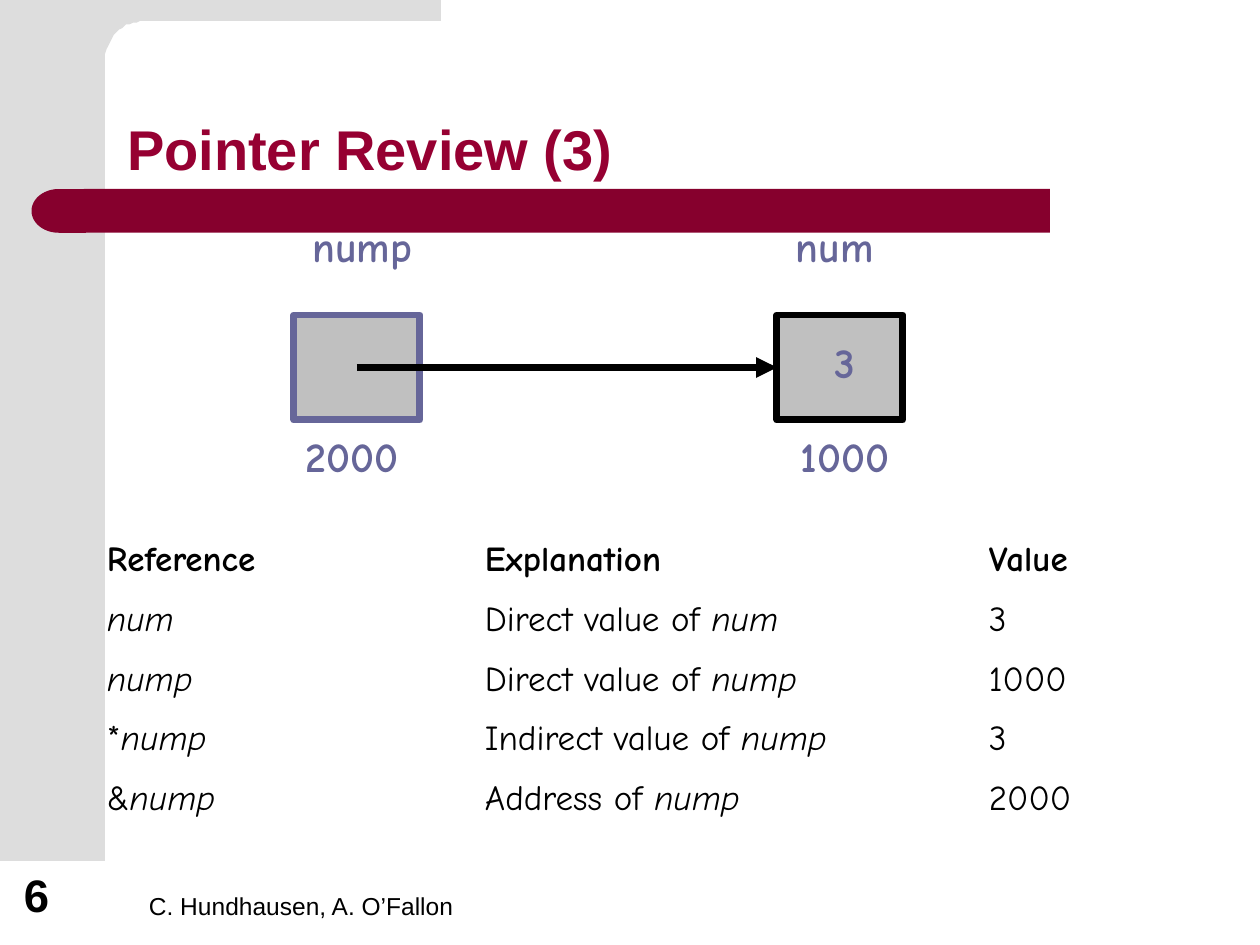
import math

import pptx
import pptx.dml.color
import pptx.enum.shapes
import pptx.enum.text
import pptx.oxml.ns
import pptx.util
from lxml import etree

Pt = pptx.util.Pt
KIND = pptx.enum.shapes.MSO_SHAPE
ALIGN = pptx.enum.text.PP_ALIGN
ANCHOR = pptx.enum.text.MSO_ANCHOR
qn = pptx.oxml.ns.qn

HEX = {"gray": "DDDDDD", "wine": "86002D", "title": "960032", "cell": "C0C0C0",
       "slate": "666699", "black": "000000"}
LABEL = {"name": "Comic Neue", "size": Pt(24), "bold": True}
BODY = {"name": "Comic Neue", "size": Pt(20)}
STOPS = (216, 504)

# Each cell is a list of (text, italic) parts.
ROWS = [
    [[("num", True)], [("Direct value of ", False), ("num", True)], [("3", False)]],
    [[("nump", True)], [("Direct value of ", False), ("nump", True)], [("1000", False)]],
    [[("*", False), ("nump", True)], [("Indirect value of ", False), ("nump", True)],
     [("3", False)]],
    [[("&", False), ("nump", True)], [("Address of ", False), ("nump", True)],
     [("2000", False)]],
]


def rgb(name):
    return pptx.dml.color.RGBColor.from_string(HEX[name])


def paint(shape, fill, line=None):
    shape.shadow.inherit = False
    shape.fill.solid()
    shape.fill.fore_color.rgb = rgb(fill)
    if line:
        shape.line.color.rgb = rgb(line)
        shape.line.width = Pt(4)
    else:
        shape.line.fill.background()


def block(slide, kind, box, fill, line=None):
    shape = slide.shapes.add_shape(kind, *map(Pt, box))
    paint(shape, fill, line)
    return shape


def corner(slide):
    """Draw the top band, whose inner corner is a quarter ellipse."""
    turns = [math.radians(6 * i) for i in range(16)]
    arc = [(80 - 20 * math.sin(t), 35.5 - 23 * math.cos(t)) for t in turns]
    pen = slide.shapes.build_freeform(36, 0, scale=Pt(1))
    pen.add_line_segments([(252, 0), (252, 12.5), *arc, (60, 44), (36, 44)])
    paint(pen.convert_to_shape(), "gray")


def frame(slide, box, anchor=ANCHOR.TOP):
    area = slide.shapes.add_textbox(*map(Pt, box)).text_frame
    area.word_wrap = True
    area.vertical_anchor = anchor
    return area


def write(para, text, color, style):
    run = para.add_run()
    run.text = text
    run.font.color.rgb = rgb(color)
    for key, value in style.items():
        setattr(run.font, key, value)


def label(slide, text, box, color="slate", style=LABEL, align=ALIGN.CENTER,
          anchor=ANCHOR.TOP, space=0.9):
    para = frame(slide, box, anchor).paragraphs[0]
    para.alignment = align
    para.line_spacing = space
    write(para, text, color, style)


def arrow(slide, start, target):
    """Point from a place to the left side of the target."""
    line = slide.shapes.add_connector(pptx.enum.shapes.MSO_CONNECTOR.STRAIGHT,
                                      *map(Pt, start), *map(Pt, start))
    line.end_connect(target, 1)
    line.line.color.rgb = rgb("black")
    line.line.width = Pt(4)
    etree.SubElement(line.line._get_or_add_ln(), qn("a:tailEnd"), type="triangle")
    etree.SubElement(line._element.spPr, qn("a:effectLst"))


def listing(slide):
    """Write the columns of references on shared tab stops."""
    area = frame(slide, (54, 306, 630, 166))
    head = [[(text, False)] for text in ("Reference", "Explanation", "Value")]
    for i, row in enumerate([head, *ROWS]):
        para = area.add_paragraph() if i else area.paragraphs[0]
        para.line_spacing = 0.9
        para.space_before = Pt(12.5 if i else 0)
        tabs = etree.SubElement(para._p.get_or_add_pPr(), qn("a:tabLst"))
        for stop in STOPS:
            etree.SubElement(tabs, qn("a:tab"), pos=str(Pt(stop)), algn="l")
        for j, cell in enumerate(row):
            for k, (text, slant) in enumerate(cell):
                lead = "\t" if j and not k else ""
                write(para, lead + text, "black",
                      {**BODY, "bold": i == 0, "italic": slant})


def main():
    deck = pptx.Presentation()
    deck.slide_width, deck.slide_height = Pt(720), Pt(540)
    slide = deck.slides.add_slide(deck.slide_layouts[6])

    block(slide, KIND.RECTANGLE, (0, 0, 60, 492), "gray")
    corner(slide)
    block(slide, KIND.RECTANGLE, (48, 108, 552, 25), "wine")
    block(slide, KIND.FLOWCHART_DELAY, (18, 108, 31, 25), "wine").rotation = 180

    low = {"align": ALIGN.LEFT, "anchor": ANCHOR.BOTTOM}
    label(slide, "C. Hundhausen, A. O’Fallon", (78, 492, 270, 37.5), "black",
          {"name": "Arial", "size": Pt(14)}, space=1, **low)
    label(slide, "6", (6.5, 492, 46, 38), "black",
          {"name": "Arial", "size": Pt(26), "bold": True}, space=1, **low)
    label(slide, "Pointer Review (3)", (65.5, 29.5, 613, 78.5), "title",
          {"name": "Arial", "size": Pt(32), "bold": True}, **low)

    block(slide, KIND.RECTANGLE, (168, 180, 72, 60), "cell", "slate")
    target = block(slide, KIND.RECTANGLE, (444, 180, 72, 60), "cell", "black")
    label(slide, "3", (456, 192, 54, 33))
    arrow(slide, (204, 210), target)
    for text, left, top in (("nump", 162, 126), ("num", 432, 126),
                            ("2000", 156, 246), ("1000", 438, 246)):
        label(slide, text, (left, top, 90, 33))
    listing(slide)
    deck.save("out.pptx")


if __name__ == "__main__":
    main()
